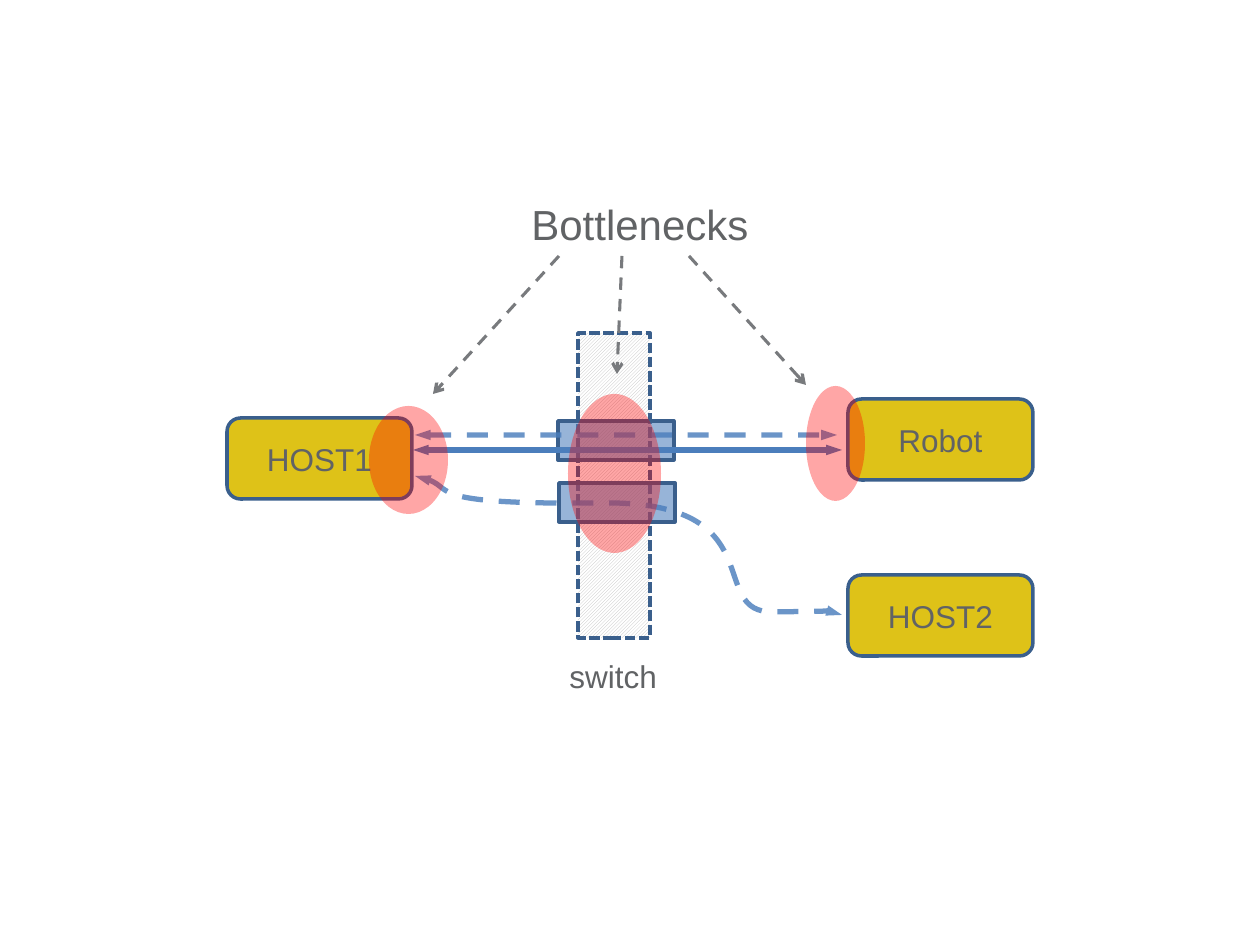
from lxml.etree import SubElement
from pptx import Presentation
from pptx.dml.color import RGBColor
from pptx.enum.dml import MSO_LINE, MSO_PATTERN
from pptx.enum.shapes import MSO_CONNECTOR, MSO_SHAPE
from pptx.enum.text import MSO_ANCHOR, MSO_AUTO_SIZE, PP_ALIGN
from pptx.oxml.ns import qn
from pptx.util import Pt

PX = 914400 // 126
GOLD, NAVY, BLUE, PORT = "DEC218", "3A5F8C", "4B7EBC", "4F81BD"
RED, GRAY, TEXT = "FF0000", "787A7D", "616365"

# Content: boxes are (left, top, width, height) in px
HOST_SIZE, PORT_SIZE = (185, 81), (116, 39)
HOSTS = [("HOST1", 227, 418), ("Robot", 848, 399), ("HOST2", 848, 575)]
SWITCH = (578, 333, 72, 305)
PORTS = [(558, 421), (559, 483)]
LABELS = [("switch", (557, 651, 113, 50), 18),
          ("Bottlenecks", (519, 192, 244, 63), 24)]
LINKS = [((413, 450), (842, 450), None, 100),
         ((415, 435), (837, 435), MSO_LINE.DASH, 81)]
# Start point, then three Bezier points for each segment
ROUTE = [(415, 476), (459, 485), (427, 505), (602, 503), (777, 501),
         (704, 614), (774, 612), (849, 611), (834, 609), (842, 615)]
HOTSPOTS = [(369, 406, 79, 108), (568, 394, 93, 159), (806, 386, 59, 115)]
POINTERS = [((559, 256), (433, 394)), ((689, 256), (806, 385)),
            ((622, 256), (617, 374))]

prs = Presentation()
prs.slide_width, prs.slide_height = 1260 * PX, 945 * PX
s = prs.slides.add_slide(prs.slide_layouts[6])


def px(values):
    return [v * PX for v in values]


def rgb(color):
    return RGBColor.from_string(color)


def paint(fill, parent, color, alpha=100):
    fill.solid()
    fill.fore_color.rgb = rgb(color)
    if alpha < 100:
        clr = parent.find(qn("a:solidFill")).find(qn("a:srgbClr"))
        SubElement(clr, qn("a:alpha"), val=str(alpha * 1000))


def stroke(sp, color, width, dash=None, alpha=100, head=None, tail=None, w="med"):
    line = sp.line
    line.width = Pt(width)
    ln = sp.element.spPr.find(qn("a:ln"))
    paint(line.fill, ln, color, alpha)
    if dash:
        line.dash_style = dash
    for tag, kind in (("a:headEnd", head), ("a:tailEnd", tail)):
        if kind:
            SubElement(ln, qn(tag), type=kind, w=w, len="med")


def shape(kind, box, fill=None, alpha=100, line=NAVY, dash=None):
    sp = s.shapes.add_shape(kind, *px(box))
    sp.shadow.inherit = False
    if fill:
        paint(sp.fill, sp.element.spPr, fill, alpha)
    if line:
        stroke(sp, line, 2, dash)
    else:
        sp.line.fill.background()
    return sp


def write(sp, text, size=18, align=PP_ALIGN.LEFT, anchor=MSO_ANCHOR.TOP):
    tf = sp.text_frame
    tf.vertical_anchor = anchor
    p = tf.paragraphs[0]
    p.alignment = align
    r = p.add_run()
    r.text = text
    r.font.name, r.font.size = "Arial", Pt(size)
    r.font.color.rgb = rgb(TEXT)


def connect(start, end, color, width, **fmt):
    cn = s.shapes.add_connector(MSO_CONNECTOR.STRAIGHT, *px(start + end))
    stroke(cn, color, width, **fmt)
    SubElement(cn.element.spPr, qn("a:effectLst"))


def curve(points):
    """Draw a freeform whose points are read as cubic Bezier segments."""
    start, *rest = [px(pt) for pt in points]
    builder = s.shapes.build_freeform(*start)
    builder.add_line_segments(rest, close=False)
    sp = builder.convert_to_shape()
    path_el = next(sp.element.iter(qn("a:path")))
    steps = path_el.findall(qn("a:lnTo"))
    for i in range(0, len(steps), 3):
        bezier = SubElement(path_el, qn("a:cubicBezTo"))
        for step in steps[i:i + 3]:
            bezier.append(step[0])
            path_el.remove(step)
    sp.shadow.inherit = False
    sp.fill.background()
    return sp


# Hosts
for name, x, y in HOSTS:
    sp = shape(MSO_SHAPE.ROUNDED_RECTANGLE, (x, y, *HOST_SIZE), GOLD)
    write(sp, name, align=PP_ALIGN.CENTER, anchor=MSO_ANCHOR.MIDDLE)

# Switch and its ports
sp = shape(MSO_SHAPE.RECTANGLE, SWITCH, dash=MSO_LINE.SQUARE_DOT)
sp.fill.patterned()
sp.fill.pattern = MSO_PATTERN.DARK_UPWARD_DIAGONAL
sp.fill.fore_color.rgb, sp.fill.back_color.rgb = rgb("BFBFBF"), rgb("FFFFFF")
for corner in PORTS:
    shape(MSO_SHAPE.RECTANGLE, corner + PORT_SIZE, PORT, alpha=59)

# Labels
for text, box, size in LABELS:
    tb = s.shapes.add_textbox(*px(box))
    tb.text_frame.word_wrap = False
    tb.text_frame.auto_size = MSO_AUTO_SIZE.SHAPE_TO_FIT_TEXT
    write(tb, text, size=size)

# Network links
ENDS = dict(head="triangle", tail="triangle", w="sm")
for start, end, dash, alpha in LINKS:
    connect(start, end, BLUE, 3, dash=dash, alpha=alpha, **ENDS)
stroke(curve(ROUTE), BLUE, 3, dash=MSO_LINE.DASH, alpha=81, **ENDS)

# Bottlenecks and the arrows that point at them
for box in HOTSPOTS:
    shape(MSO_SHAPE.OVAL, box, RED, alpha=35, line=None)
for start, end in POINTERS:
    connect(start, end, GRAY, 1.75, dash=MSO_LINE.DASH, tail="arrow")

prs.save("out.pptx")
